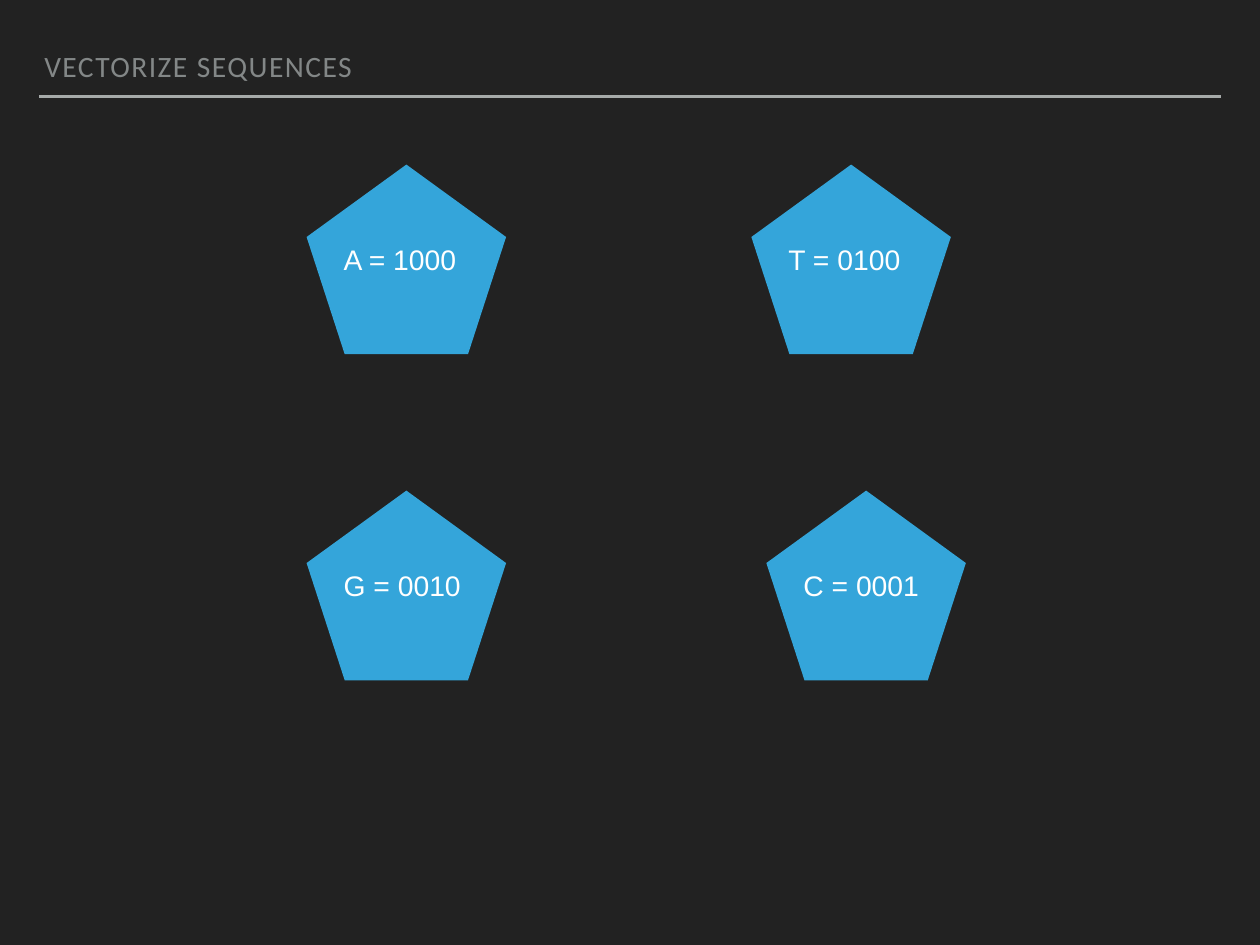
from lxml import etree
from pptx import Presentation
from pptx.dml.color import RGBColor
from pptx.enum.shapes import MSO_CONNECTOR as Connector, MSO_SHAPE as Shape
from pptx.enum.text import MSO_ANCHOR as Anchor, PP_ALIGN as Align
from pptx.oxml.ns import qn
from pptx.util import Cm, Pt

BACKGROUND = RGBColor(0x22, 0x22, 0x22)
RULE_GREY = RGBColor(0xA6, 0xAA, 0xA9)
TITLE_GREY = RGBColor(0x83, 0x87, 0x87)
BLUE = RGBColor(0x34, 0xA5, 0xDA)
WHITE = RGBColor(0xFF, 0xFF, 0xFF)

LEFT_COLUMN = 8.79
TOP_ROW, BOTTOM_ROW = 4.72, 14.07
BASES = [
    ("A = 1000", LEFT_COLUMN, TOP_ROW),
    ("T = 0100", 21.54, TOP_ROW),
    ("G = 0010", LEFT_COLUMN, BOTTOM_ROW),
    ("C = 0001", 21.97, BOTTOM_ROW),
]


class SlideBuilder:
    inset = Cm(0.15)

    def __init__(self, slide):
        self.slide = slide
        background = slide.background.fill
        background.solid()
        background.fore_color.rgb = BACKGROUND

    def rule(self, left, right, y):
        rule = self.slide.shapes.add_connector(
            Connector.STRAIGHT, Cm(left), Cm(y), Cm(right), Cm(y))
        rule.line.color.rgb = RULE_GREY
        rule.line.width = Pt(2)
        etree.SubElement(rule._element.spPr, qn("a:effectLst"))

    def text(self, wording, left, top, width, height, font, size, color, anchor):
        box = self.slide.shapes.add_textbox(Cm(left), Cm(top), Cm(width), Cm(height))
        frame = box.text_frame
        frame.word_wrap = True
        frame.vertical_anchor = anchor
        frame.margin_left = frame.margin_right = self.inset
        frame.margin_top = frame.margin_bottom = self.inset
        paragraph = frame.paragraphs[0]
        paragraph.text = wording
        paragraph.alignment = Align.LEFT
        paragraph.font.name = font
        paragraph.font.size = Pt(size)
        paragraph.font.color.rgb = color
        return paragraph

    def title(self, wording):
        heading = self.text(wording, 1.12, 1.27, 31.04, 1.27,
                            "Calibri", 24, TITLE_GREY, Anchor.BOTTOM)
        heading.line_spacing = 0.8
        heading.runs[0]._r.get_or_add_rPr().set("spc", "120")

    def pentagon(self, left, top):
        pentagon = self.slide.shapes.add_shape(
            Shape.REGULAR_PENTAGON, Cm(left), Cm(top), Cm(5.72), Cm(5.44))
        pentagon.shadow.inherit = False
        pentagon.fill.solid()
        pentagon.fill.fore_color.rgb = BLUE
        pentagon.line.fill.background()

    def base(self, code, left, top):
        self.pentagon(left, top)
        label = self.text(code, left + 0.91, top + 2.03, 3.86, 1.37,
                          "Arial", 23, WHITE, Anchor.MIDDLE)
        label.space_before = Pt(24)


def main():
    deck = Presentation()
    deck.slide_width = Cm(36.12)
    deck.slide_height = Cm(27.1)
    builder = SlideBuilder(deck.slides.add_slide(deck.slide_layouts[6]))
    builder.rule(1.12, 35, 2.77)
    builder.title("VECTORIZE SEQUENCES")
    for code, left, top in BASES:
        builder.base(code, left, top)
    deck.save("out.pptx")


if __name__ == "__main__":
    main()
